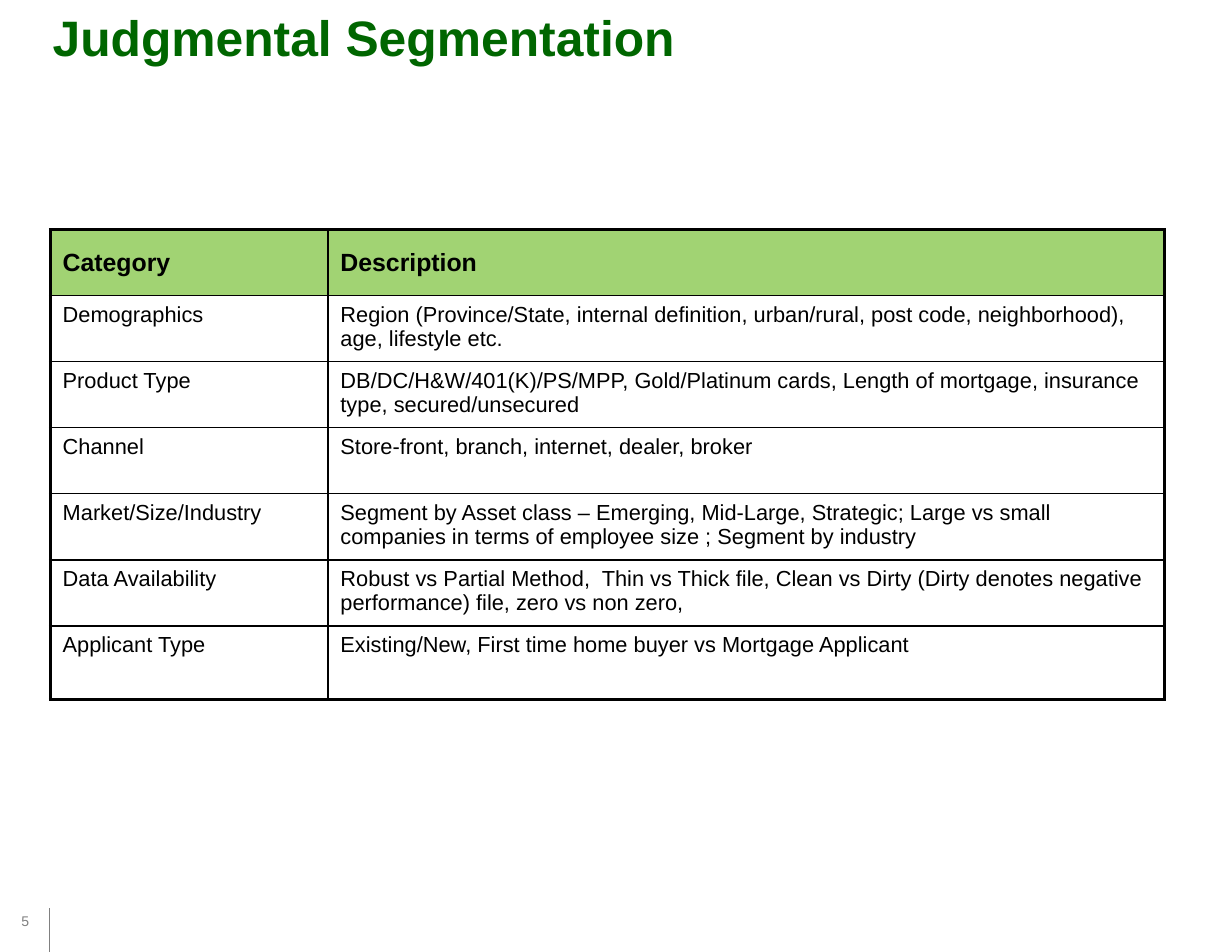
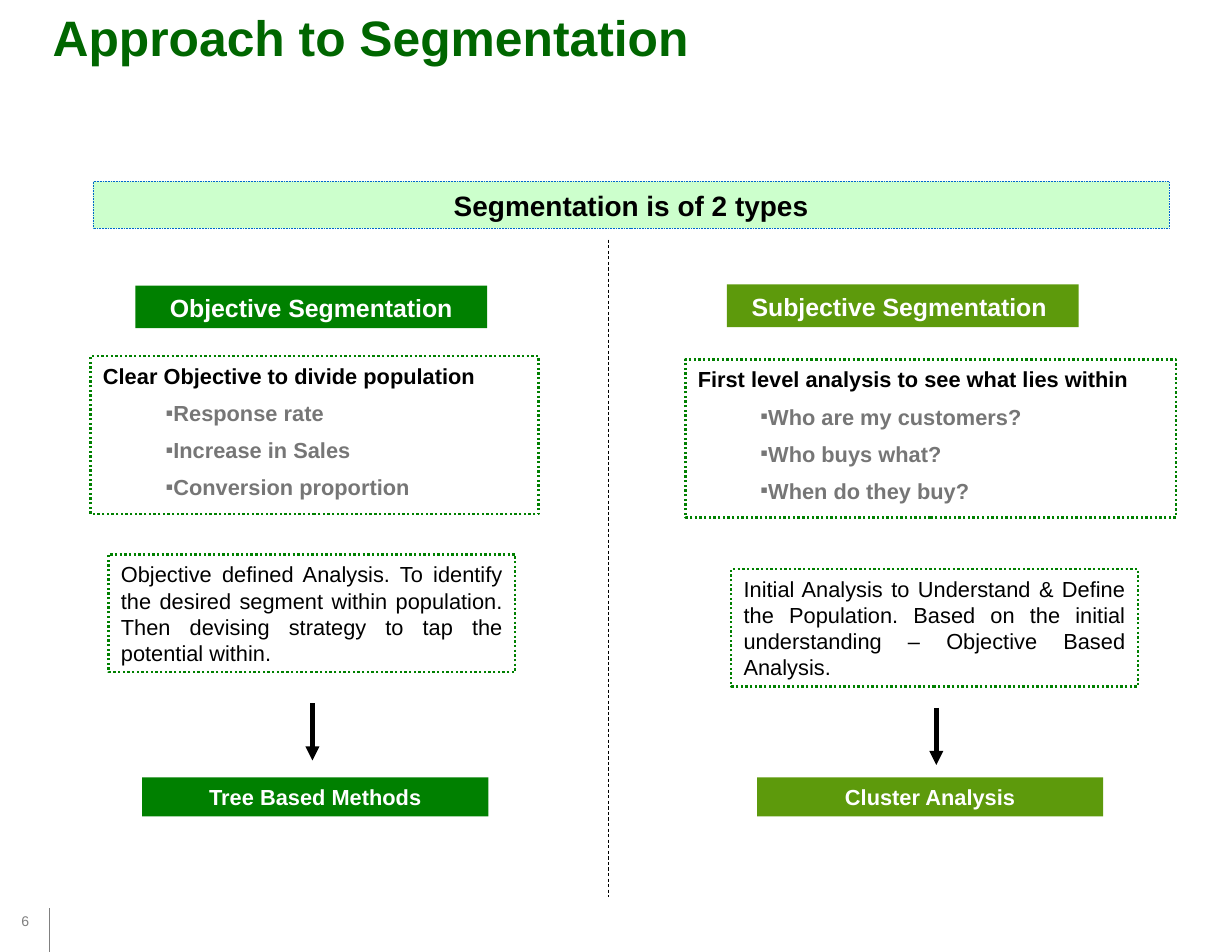
"""Build two slides on judgmental segmentation and approaches to it."""
from lxml.etree import SubElement
from pptx import Presentation
from pptx.dml.color import RGBColor
from pptx.enum.dml import MSO_LINE
from pptx.enum.shapes import MSO_CONNECTOR, MSO_SHAPE
from pptx.enum.text import MSO_ANCHOR, PP_ALIGN
from pptx.oxml import parse_xml
from pptx.oxml.ns import nsdecls, qn
from pptx.util import Inches, Pt

WIDE, HIGH = 11, 8.5
HUES = {
    "title": "006600", "ink": "000000", "paper": "FFFFFF", "foot": "808080",
    "head": "A1D373", "band": "CCFFCC", "rim": "0066CC",
    "green": "008000", "olive": "5D9A0C", "point": "767676",
}
TABLE = [
    ("Category", "Description"),
    ("Demographics", "Region (Province/State, internal definition, urban/rural, "
     "post code, neighborhood), age, lifestyle etc."),
    ("Product Type", "DB/DC/H&W/401(K)/PS/MPP, Gold/Platinum cards, Length of "
     "mortgage, insurance type, secured/unsecured"),
    ("Channel", "Store-front, branch, internet, dealer, broker"),
    ("Market/Size/Industry", "Segment by Asset class – Emerging, Mid-Large, "
     "Strategic; Large vs small companies in terms of employee size ; "
     "Segment by industry"),
    ("Data Availability", "Robust vs Partial Method,  Thin vs Thick file, Clean vs "
     "Dirty (Dirty denotes negative performance) file, zero vs non zero,"),
    ("Applicant Type", "Existing/New, First time home buyer vs Mortgage Applicant"),
]
TYPES = [
    {"hue": "green",
     "name": ("Objective Segmentation", (1.21, 2.55, 3.14, 0.38)),
     "goal": (["Clear Objective to divide population", "Response rate",
               "Increase in Sales", "Conversion proportion"],
              (0.81, 3.18, 4, 1.41)),
     "note": ("Objective defined Analysis. To identify the desired segment within "
              "population. Then devising strategy to tap the potential within.",
              (0.97, 4.95, 3.63, 1.05)),
     "arrow": (2.79, 6.28),
     "method": ("Tree Based Methods", (1.27, 6.94, 3.09, 0.35))},
    {"hue": "olive",
     "name": ("Subjective Segmentation ", (6.49, 2.54, 3.14, 0.38)),
     "goal": (["First level analysis to see what lies within",
               "Who are my customers?", "Who buys what?", "When do they buy?"],
              (6.12, 3.21, 4.38, 1.41)),
     "note": ("Initial Analysis to Understand & Define the Population. Based on the "
              "initial understanding – Objective Based Analysis.",
              (6.53, 5.08, 3.63, 1.05)),
     "arrow": (8.36, 6.32),
     "method": ("Cluster Analysis", (6.76, 6.94, 3.09, 0.35))},
]


def shade(name):
    return RGBColor.from_string(HUES[name])


def write(frame, text, size=14, hue="ink", bold=False, align=PP_ALIGN.LEFT,
          anchor=MSO_ANCHOR.TOP, points=()):
    frame.word_wrap = True
    frame.vertical_anchor = anchor
    frame.margin_left = frame.margin_right = Inches(0.11)
    frame.margin_top = frame.margin_bottom = Inches(0.06)
    for num, line in enumerate([text, *points]):
        para = frame.add_paragraph() if num else frame.paragraphs[0]
        para.alignment = align
        run = para.add_run()
        run.text = line
        font = run.font
        font.name, font.size, font.bold = "Arial", Pt(size), bold
        font.color.rgb = shade("point" if num else hue)
        if num:
            para.level, para.space_before = 1, Pt(size / 2)
            props = para._p.get_or_add_pPr()
            props.set("marL", str(Inches(0.56)))
            props.set("indent", "0")
            SubElement(SubElement(props, qn("a:buClr")), qn("a:srgbClr"),
                       val=HUES["point"])
            SubElement(props, qn("a:buFont"), typeface="Arial")
            SubElement(props, qn("a:buChar"), char="▪")


def box(slide, place, text, fill=None, rim=None, thick=1.5, **form):
    shape = slide.shapes.add_shape(MSO_SHAPE.RECTANGLE, *map(Inches, place))
    shape.shadow.inherit = False
    if fill:
        shape.fill.solid()
        shape.fill.fore_color.rgb = shade(fill)
    else:
        shape.fill.background()
    if rim:
        shape.line.color.rgb = shade(rim)
        shape.line.width = Pt(thick)
        shape.line.dash_style = MSO_LINE.ROUND_DOT
    else:
        shape.line.fill.background()
    write(shape.text_frame, text, **form)


def rule(slide, left, top, end, hue="ink", thick=0.5, dash=None, arrow=False):
    link = slide.shapes.add_connector(
        MSO_CONNECTOR.STRAIGHT, *map(Inches, (left, top, left, end)))
    link.line.color.rgb = shade(hue)
    link.line.width = Pt(thick)
    if dash:
        link.line.dash_style = dash
    if arrow:
        SubElement(link.line._get_or_add_ln(), qn("a:tailEnd"), type="triangle")
    SubElement(link._element.spPr, qn("a:effectLst"))


def start(deck, title, page):
    slide = deck.slides.add_slide(deck.slide_layouts[5])
    rule(slide, 0.44, 8.11, HIGH, hue="foot")
    foot = slide.shapes.add_textbox(*map(Inches, (0.08, 7.77, 0.39, 0.59)))
    write(foot.text_frame, str(page), size=9, hue="foot", anchor=MSO_ANCHOR.BOTTOM)
    head = slide.shapes.title
    head.left, head.top, head.width, head.height = map(Inches, (0.36, 0, 10.27, 1.23))
    write(head.text_frame, title, size=32, hue="title", bold=True)
    return slide


def edge(cell, sides):
    props = cell._tc.get_or_add_tcPr()
    for spot, (side, outer) in enumerate(sides):
        thick = Pt(2.25 if outer else 1)
        props.insert(spot, parse_xml(
            f'<a:ln{side} {nsdecls("a")} w="{thick}"><a:solidFill>'
            f'<a:srgbClr val="{HUES["ink"]}"/></a:solidFill></a:ln{side}>'))


def judge(deck):
    slide = start(deck, "Judgmental Segmentation", 5)
    rows, cols = len(TABLE), len(TABLE[0])
    grid = slide.shapes.add_table(
        rows, cols, *map(Inches, (0.45, 2.05, 9.95, 4.2))).table
    grid.first_row = grid.horz_banding = False
    for col, width in zip(grid.columns, (2.48, 7.47)):
        col.width = Inches(width)
    for row, line in enumerate(TABLE):
        head, last = row == 0, row == rows - 1
        grid.rows[row].height = Inches(0.66 if last else 0.59)
        for col, text in enumerate(line):
            cell = grid.cell(row, col)
            cell.fill.solid()
            cell.fill.fore_color.rgb = shade("head" if head else "paper")
            edge(cell, [("L", col == 0), ("R", col == cols - 1),
                        ("T", head), ("B", last)])
            write(cell.text_frame, text, size=16 if head else 14, bold=head)
            cell.vertical_anchor = MSO_ANCHOR.MIDDLE if head else MSO_ANCHOR.TOP
            cell.margin_left = cell.margin_right = Inches(0.11)
            cell.margin_top = cell.margin_bottom = Inches(0.06)


def split(deck):
    slide = start(deck, "Approach to Segmentation", 6)
    label = {"bold": True, "align": PP_ALIGN.CENTER}
    box(slide, (0.83, 1.62, 9.61, 0.42), "Segmentation is of 2 types",
        fill="band", rim="rim", thick=0.5, size=18, **label)
    rule(slide, 5.43, 2.14, 8.01, dash=MSO_LINE.DASH)
    for kind in TYPES:
        for part, size in (("name", 16), ("method", 14)):
            text, place = kind[part]
            box(slide, place, text, fill=kind["hue"], hue="paper", size=size, **label)
        (lead, *points), place = kind["goal"]
        box(slide, place, lead, rim="green", bold=True, points=points)
        text, place = kind["note"]
        box(slide, place, text, rim="green", align=PP_ALIGN.JUSTIFY)
        left, top = kind["arrow"]
        rule(slide, left, top, top + 0.51, thick=3, arrow=True)


def main():
    deck = Presentation()
    deck.slide_width, deck.slide_height = Inches(WIDE), Inches(HIGH)
    judge(deck)
    split(deck)
    deck.save("out.pptx")


if __name__ == "__main__":
    main()
